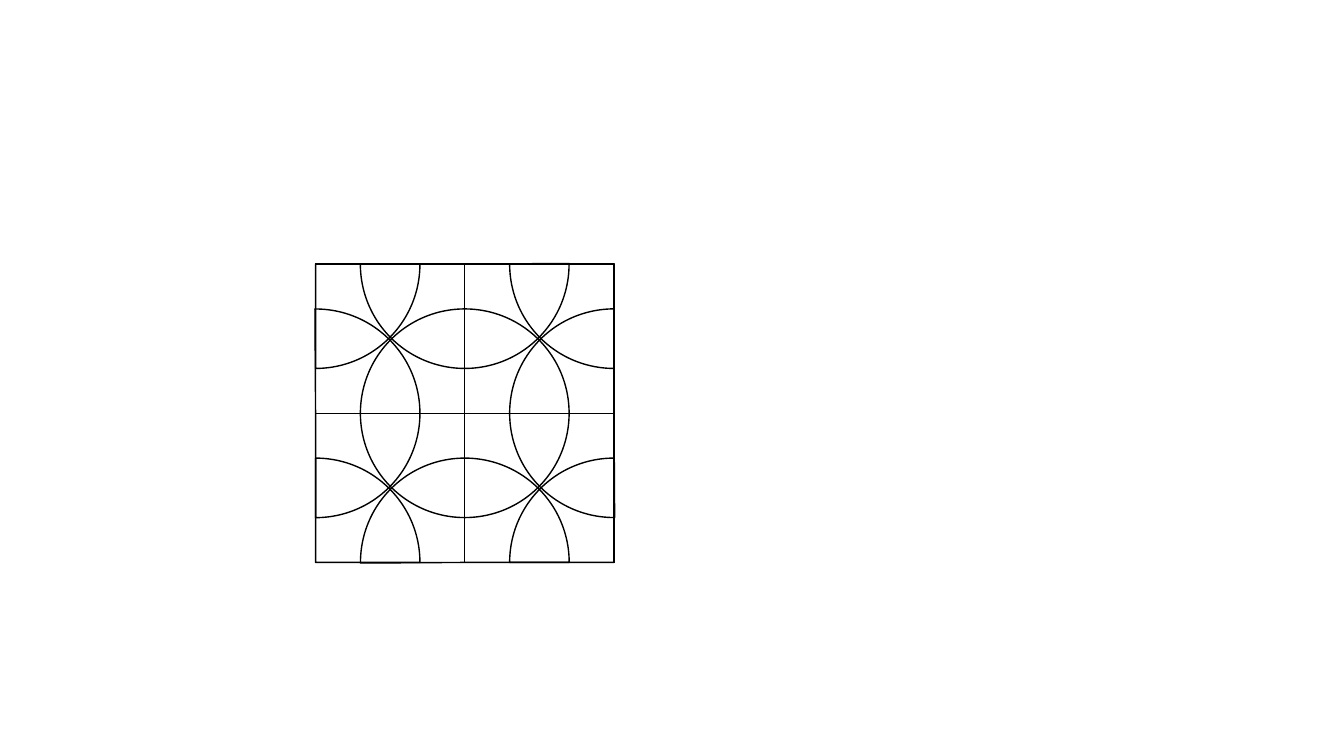
"""Draw a two-by-two tile square with overlapping circles clipped to its outline."""
from pptx import Presentation
from pptx.dml.color import RGBColor
from pptx.enum.shapes import MSO_SHAPE
from pptx.util import Inches, Pt

RECTANGLE = MSO_SHAPE.RECTANGLE
OVAL = MSO_SHAPE.OVAL
PIE = MSO_SHAPE.PIE

LEFT, TOP = 3.13, 2.62
TILE = 1.48
DIAMETER = 2.07
ARC_END = 162
QUARTER_START = 108
HALF_START = 53.79

deck = Presentation()
deck.slide_width, deck.slide_height = Inches(13.33), Inches(7.5)
slide = deck.slides.add_slide(deck.slide_layouts[6])


def color(hex_string):
    return RGBColor.from_string(hex_string)


def outline(kind, col, row, size):
    """Add an unfilled shape centred on a grid position."""
    shape = slide.shapes.add_shape(
        kind,
        Inches(LEFT + col * TILE - size / 2),
        Inches(TOP + row * TILE - size / 2),
        Inches(size),
        Inches(size),
    )
    shape.shadow.inherit = False
    shape.fill.background()
    shape.line.color.rgb = color("000000")
    shape.line.width = Pt(1)
    return shape


for row in range(2):
    for col in range(2):
        outline(RECTANGLE, col + 0.5, row + 0.5, TILE)
outline(RECTANGLE, 1, 1, 2 * TILE)
outline(OVAL, 1, 1, DIAMETER)

corners = [(2, 2), (0, 2), (0, 0), (2, 0)]
side_middles = [(2, 1), (1, 2), (0, 1), (1, 0)]
for centers, start in ((corners, QUARTER_START), (side_middles, HALF_START)):
    for turn, (col, row) in enumerate(centers):
        sector = outline(PIE, col, row, DIAMETER)
        sector.adjustments[0] = start
        sector.adjustments[1] = ARC_END
        sector.rotation = 90 * turn

deck.save("out.pptx")
